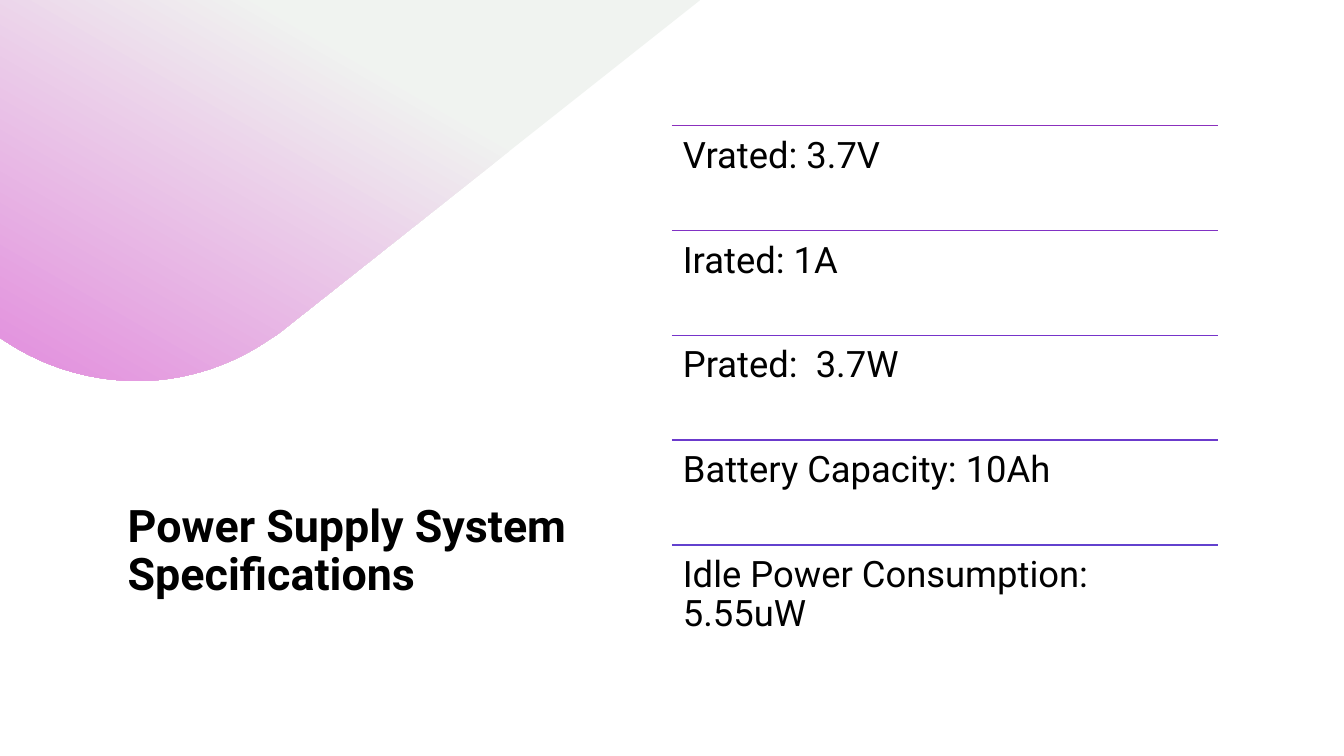
from lxml.etree import SubElement
from pptx import Presentation
from pptx.dml.color import RGBColor
from pptx.enum.shapes import MSO_CONNECTOR
from pptx.enum.text import MSO_ANCHOR
from pptx.oxml.ns import qn
from pptx.util import Cm, Pt


def rgb(hex_color):
    return RGBColor.from_string(hex_color)


def write(frame, text, size, bold=False):
    frame.word_wrap = True
    frame.text = text
    paragraph = frame.paragraphs[0]
    paragraph.line_spacing = 0.9
    font = paragraph.runs[0].font
    font.name, font.size, font.bold = "Roboto", Pt(size), bold
    font.color.rgb = rgb("000000")


prs = Presentation()
prs.slide_width, prs.slide_height = Cm(33.87), Cm(19.05)
slide = prs.slides.add_slide(prs.slide_layouts[6])

# Corner blob: straight sides, with a rounded bottom sampled from Bézier curves (cm)
outline = [(0, 0), (17.65, 0), (6.99, 8.43), (6.86, 8.51)]
curves = [
    [(5.89, 9.19), (4.8, 9.55), (3.68, 9.6)],
    [(3.58, 9.6), (3.45, 9.6), (3.35, 9.6)],
    [(2.24, 9.58), (1.12, 9.25), (0.15, 8.61)],
]
STEPS = 16
for control_1, control_2, end in curves:
    start = outline[-1]
    for step in range(1, STEPS + 1):
        t = step / STEPS
        u = 1 - t
        outline.append(tuple(
            u**3 * a + 3 * u**2 * t * b + 3 * u * t**2 * c + t**3 * d
            for a, b, c, d in zip(start, control_1, control_2, end)
        ))
outline.append((0, 8.51))

builder = slide.shapes.build_freeform(0, 0)
builder.add_line_segments([(Cm(x), Cm(y)) for x, y in outline[1:]], close=True)
blob = builder.convert_to_shape()
blob.shadow.inherit = False
blob.line.fill.background()
blob.fill.gradient()
blob.fill.gradient_angle = 240
for stop, (position, color) in zip(blob.fill.gradient_stops,
                                   [(0.32, "F0F3F0"), (1, "E28DDD")]):
    stop.position = position
    stop.color.rgb = rgb(color)

title = slide.shapes.add_textbox(Cm(2.97), Cm(11.4), Cm(11.96), Cm(16.41 - 11.4))
title.text_frame.vertical_anchor = MSO_ANCHOR.MIDDLE
write(title.text_frame, "Power Supply System Specifications", 32, bold=True)

# Specification list: a coloured rule above each entry
specifications = [
    ("Vrated: 3.7V", "8B30BD"),
    ("Irated: 1A", "8132C4"),
    ("Prated:  3.7W", "7634CA"),
    ("Battery Capacity: 10Ah", "6B3ACC"),
    ("Idle Power Consumption: 5.55uW", "6241CE"),
]
LEFT, TOP, WIDTH, ROW_HEIGHT = 16.93, 3.17, 13.76, 2.64
spec_list = slide.shapes.add_group_shape()
for row, (text, color) in enumerate(specifications):
    top = Cm(TOP + row * ROW_HEIGHT)
    rule = spec_list.shapes.add_connector(
        MSO_CONNECTOR.STRAIGHT, Cm(LEFT), top, Cm(LEFT + WIDTH), top)
    rule.line.color.rgb = rgb(color)
    rule.line.width = Pt(1)
    SubElement(rule._element.spPr, qn("a:effectLst"))

    entry = spec_list.shapes.add_textbox(Cm(LEFT), top, Cm(WIDTH), Cm(ROW_HEIGHT))
    frame = entry.text_frame
    frame.margin_left = frame.margin_right = Cm(0.28)
    frame.margin_top = frame.margin_bottom = Cm(0.28)
    write(frame, text, 26)

prs.save("out.pptx")
